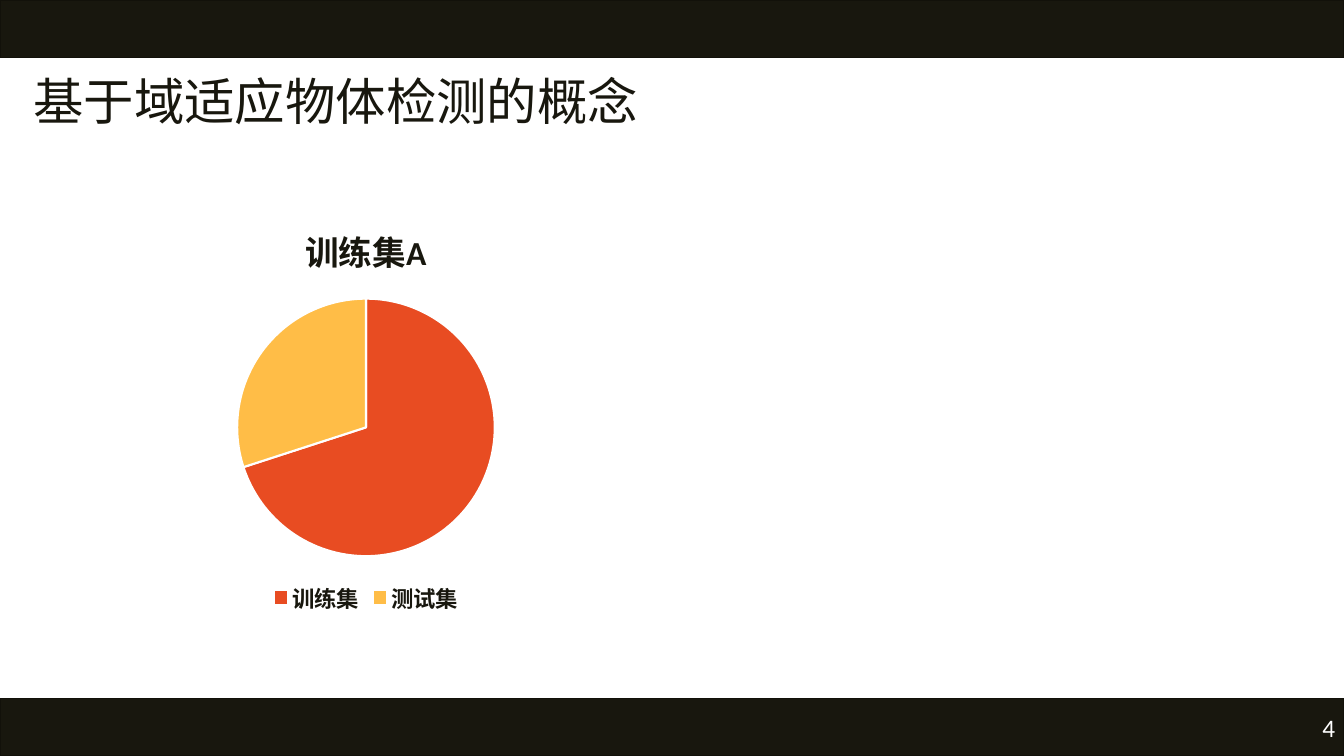
import pptx
import pptx.util
import pptx.chart.data
import pptx.dml.color
import pptx.enum.chart
import pptx.enum.shapes
import pptx.enum.text
from pptx.util import Inches

FONT = "Calibri"
DARK = "18170E"
WHITE = "FFFFFF"
SLIDE_W, SLIDE_H, BAND_H = 13.33, 7.5, 0.57


def color(hex_text):
    return pptx.dml.color.RGBColor.from_string(hex_text)


def style_font(font, size, hex_text, bold=False):
    font.name = FONT
    font.size = pptx.util.Pt(size)
    font.bold = bold
    font.color.rgb = color(hex_text)


def add_band(s, top):
    band = s.shapes.add_shape(pptx.enum.shapes.MSO_SHAPE.RECTANGLE, Inches(0),
                              Inches(top), Inches(SLIDE_W), Inches(BAND_H))
    band.shadow.inherit = False
    band.fill.solid()
    band.fill.fore_color.rgb = color(DARK)
    band.line.color.rgb = color("12110A")
    band.line.width = pptx.util.Pt(1)


def set_title(s, text):
    title = s.shapes.title
    title.left, title.top = Inches(0.23), Inches(0.72)
    title.width, title.height = Inches(12.87), Inches(0.63)
    tf = title.text_frame
    tf.text = text
    tf.vertical_anchor = pptx.enum.text.MSO_ANCHOR.MIDDLE
    p = tf.paragraphs[0]
    p.alignment = pptx.enum.text.PP_ALIGN.LEFT
    p.line_spacing = 0.9
    style_font(p.font, 36, DARK)


def add_page_number(s, number):
    box = s.shapes.add_textbox(Inches(10.34), Inches(7.02), Inches(3), Inches(0.4))
    tf = box.text_frame
    tf.word_wrap = True
    tf.vertical_anchor = pptx.enum.text.MSO_ANCHOR.MIDDLE
    p = tf.paragraphs[0]
    p.text = number
    p.alignment = pptx.enum.text.PP_ALIGN.RIGHT
    style_font(p.font, 18, WHITE)


def add_pie(s, title, slices):
    """Draw a pie from (category, value, colour) slices."""
    data = pptx.chart.data.CategoryChartData()
    data.categories = [name for name, _, _ in slices]
    data.add_series("Series 1", [value for _, value, _ in slices])
    chart = s.shapes.add_chart(pptx.enum.chart.XL_CHART_TYPE.PIE, Inches(0.34),
                               Inches(2.01), Inches(6.58), Inches(4.12), data).chart
    style_font(chart.font, 10, DARK)

    chart.has_title = True
    tf = chart.chart_title.text_frame
    tf.text = title
    style_font(tf.paragraphs[0].font, 24, DARK, bold=True)
    chart.chart_title.include_in_layout = False

    chart.has_legend = True
    chart.legend.position = pptx.enum.chart.XL_LEGEND_POSITION.BOTTOM
    chart.legend.include_in_layout = False
    style_font(chart.legend.font, 16, DARK, bold=True)

    plot = chart.plots[0]
    plot.vary_by_categories = True
    for i, (_, _, hex_text) in enumerate(slices):
        fmt = plot.series[0].points[i].format
        fmt.fill.solid()
        fmt.fill.fore_color.rgb = color(hex_text)
        fmt.line.color.rgb = color(WHITE)
        fmt.line.width = pptx.util.Pt(1.5)


def main():
    prs = pptx.Presentation()
    prs.slide_width, prs.slide_height = Inches(SLIDE_W), Inches(SLIDE_H)
    s = prs.slides.add_slide(prs.slide_layouts[5])
    for top in (0, SLIDE_H - BAND_H):
        add_band(s, top)
    set_title(s, "基于域适应物体检测的概念")
    add_page_number(s, "4")
    add_pie(s, "训练集A", [("训练集", 70, "E84C22"), ("测试集", 30, "FFBD47")])
    prs.save("out.pptx")


if __name__ == "__main__":
    main()
